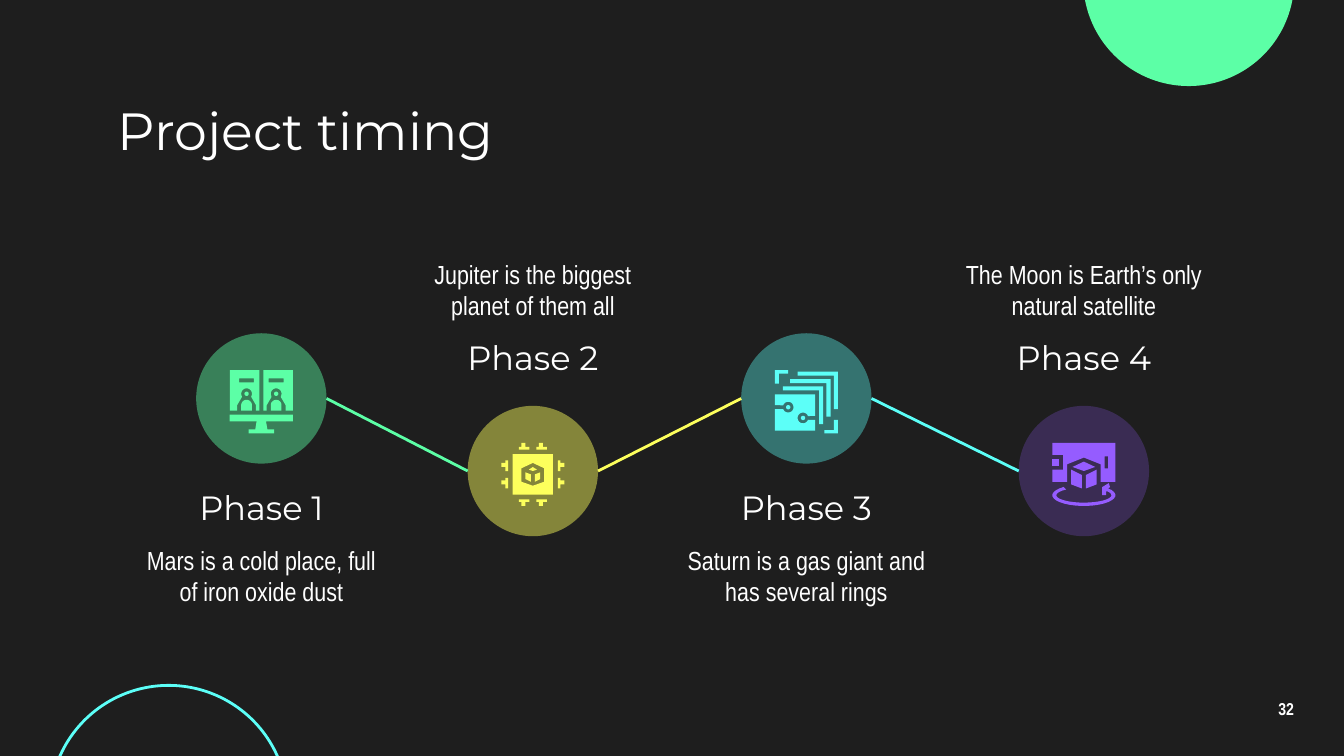
from dataclasses import dataclass
from math import cos, radians, sin

from lxml import etree
from pptx import Presentation
from pptx.dml.color import RGBColor
from pptx.enum.shapes import MSO_CONNECTOR, MSO_SHAPE
from pptx.enum.text import MSO_ANCHOR, PP_ALIGN
from pptx.oxml.ns import qn
from pptx.util import Emu, Inches, Pt

OVAL = MSO_SHAPE.OVAL
STRAIGHT = MSO_CONNECTOR.STRAIGHT
MIDDLE = MSO_ANCHOR.MIDDLE
LEFT, CENTER = PP_ALIGN.LEFT, PP_ALIGN.CENTER

Point = tuple[float, float]
Contour = list[Point]
Piece = list[Contour]


@dataclass(frozen=True)
class Theme:
    background: str = "1E1E1E"
    text: str = "FFFFFF"
    green: str = "5CFFA6"
    yellow: str = "FDFF5C"
    cyan: str = "5CFFF8"
    purple: str = "955CFF"
    heading_font: str = "Montserrat"
    body_font: str = "Arial Narrow"
    title_size: float = 28
    phase_size: float = 18
    body_size: float = 14
    number_size: float = 9.2
    line_width: float = 1.5


@dataclass(frozen=True)
class Level:
    circle_top: float
    name_top: float
    detail_top: float


@dataclass(frozen=True)
class Phase:
    center: float
    level: Level
    color: str
    opacity: int
    name: str
    detail: str
    icon: list[Piece]


THEME = Theme()
# The grid has 100 columns across the slide, with square cells
SLIDE_WIDTH, SLIDE_HEIGHT = Inches(10), Inches(5.625)
CELL = SLIDE_WIDTH / 100
CIRCLE, TEXT_WIDTH = 9.7, 20.2
ICON_OFFSET: Point = (2.5, 2.75)
ICON_SIZE = 47  # icons are drawn in tenths of a cell


def grid(cells: float) -> Emu:
    return Emu(round(cells * CELL))


# Icon geometry
def arc(x: float, y: float, rx: float, ry: float, start: float, end: float) -> Contour:
    angles = [radians(start + (end - start) * step / 24) for step in range(25)]
    return [(x + rx * cos(angle), y + ry * sin(angle)) for angle in angles]


def dot(x: float, y: float) -> Piece:
    return [arc(x, y, 1.6, 1.6, 0, 360)]


def box(left: float, top: float, right: float, bottom: float) -> Contour:
    return [(left, top), (right, top), (right, bottom), (left, bottom)]


def move(piece: Piece, dx: float, dy: float) -> Piece:
    return [[(x + dx, y + dy) for x, y in contour] for contour in piece]


def mirror(piece: Piece) -> Piece:
    return [[(ICON_SIZE - x, y) for x, y in contour] for contour in piece]


def transpose(piece: Piece) -> Piece:
    return [[(y, x) for x, y in contour] for contour in piece]


def monitor_icon() -> list[Piece]:
    person = 34.5
    panel = [[(25, 0), (47, 0), (47, 30), (person + 7, 30), (person + 7, 26), (person + 3.5, 20),
              *arc(person, 17.5, 4, 4, 30, -210), (person - 3.5, 20),
              (person - 7, 26), (person - 7, 30), (25, 30)], box(29, 6, 40, 9)]
    body = [[(person - 4, 30), *arc(person, 26, 4, 4, 180, 360), (person + 4, 30)]]
    right_side = [panel, body, dot(person, 17.5)]
    stand = [[(0, 33), (0, 38), (20, 38), (19, 44), (14, 44), (14, 47),
              (33, 47), (33, 44), (28, 44), (27, 38), (47, 38), (47, 33)]]
    return right_side + [mirror(piece) for piece in right_side] + [stand]


def chip_icon() -> list[Piece]:
    pin = [[(42, 13), (42, 21), (44, 21), (44, 18), (47, 18), (47, 15), (44, 15), (44, 13)]]
    pins = [move(pin, 0, shift) for shift in (0, 13)]
    pins += [mirror(piece) for piece in pins]
    face = [[(29, 22), (25, 23.5), (25, 29), (29, 27)]]
    lid = [[(23.5, 18), (20.5, 20), (23.5, 21), (26.5, 20)]]
    body = [box(8.5, 8.5, 38.5, 38.5),
            [(23.5, 15), (32, 19), (32, 29), (23.5, 32), (15, 29), (15, 19)]]
    return pins + [transpose(piece) for piece in pins] + [face, mirror(face), lid, body]


def layers_icon() -> list[Piece]:
    sheet = [[(17, 1), (17, 4), (44, 4), (44, 29), (47, 29), (47, 1)]]
    sheets = [move(sheet, -5.5 * step, 5.5 * step) for step in range(3)]
    corner = [[(0, 0), (0, 10), (3, 10), (3, 2.5), (10, 2.5), (10, 0)]]
    opposite = mirror(transpose(mirror(transpose(corner))))
    board = [[(0, 18), (0, 26), *arc(10, 27.5, 4, 4, 200, 520), (0, 29), (0, 45),
              (30, 45), (30, 37), *arc(21, 35.5, 4, 4, 20, 340), (30, 34), (30, 18)]]
    return sheets + [corner, opposite, board, dot(10, 27.5), dot(21, 35.5)]


def rotation_icon() -> list[Piece]:
    tile = [box(0, 12, 5, 17)]
    orbit = [[(42, 30), (37, 33), (37, 39), (40, 39), (40, 36),
              *arc(23.5, 39, 20.5, 5.5, -30, 230), *arc(23.5, 39, 23.5, 8, 230, -40),
              (43, 33)]]
    face = [[(33, 20), (25, 24), (25, 34), (33, 31)]]
    lid = [[(23.5, 14), (15, 18), (23.5, 21), (32, 18)]]
    screen = [[(0, 0), (0, 9), (8, 9), (8, 20), (0, 20), (0, 29), (11, 29), (11, 16),
               (23.5, 11), (36, 16), (36, 29), (47, 29), (47, 0)], box(39, 10, 41.5, 19)]
    return [tile, orbit, face, mirror(face), lid, screen]


# Drawing
def fill_shape(shape, color: str, opacity: int = 100) -> None:
    shape.shadow.inherit = False
    shape.line.fill.background()
    shape.fill.solid()
    shape.fill.fore_color.rgb = RGBColor.from_string(color)
    if opacity < 100:
        color_element = next(shape._element.spPr.iter(qn("a:srgbClr")))
        etree.SubElement(color_element, qn("a:alpha")).set("val", str(opacity * 1000))


def set_line(line, color: str) -> None:
    line.color.rgb = RGBColor.from_string(color)
    line.width = Pt(THEME.line_width)


def add_circle(slide, left: float, top: float, size: float):
    return slide.shapes.add_shape(OVAL, grid(left), grid(top), grid(size), grid(size))


def add_link(slide, start: Point, end: Point, color: str) -> None:
    connector = slide.shapes.add_connector(STRAIGHT, *map(grid, start + end))
    set_line(connector.line, color)
    etree.SubElement(connector._element.spPr, qn("a:effectLst"))


def add_text(slide, frame: tuple[float, float, float, float], text: str, font_name: str,
             size: float, align=CENTER, bold: bool = False) -> None:
    text_frame = slide.shapes.add_textbox(*map(grid, frame)).text_frame
    margins = dict.fromkeys(("margin_left", "margin_top", "margin_right", "margin_bottom"), grid(1))
    for name, value in {"word_wrap": True, "vertical_anchor": MIDDLE, **margins}.items():
        setattr(text_frame, name, value)
    paragraph = text_frame.paragraphs[0]
    paragraph.text = text
    paragraph.alignment = align
    for name, value in {"name": font_name, "size": Pt(size), "bold": bold}.items():
        setattr(paragraph.font, name, value)
    paragraph.font.color.rgb = RGBColor.from_string(THEME.text)


def add_icon(slide, left: float, top: float, pieces: list[Piece], color: str) -> None:
    group = slide.shapes.add_group_shape()
    for piece in pieces:
        contours = [[(x * 100, y * 100) for x, y in contour] for contour in piece]
        builder = group.shapes.build_freeform(*contours[0][0], scale=CELL / 1000)
        builder.add_line_segments(contours[0][1:], close=True)
        for contour in contours[1:]:
            builder.move_to(*contour[0])
            builder.add_line_segments(contour[1:], close=True)
        fill_shape(builder.convert_to_shape(grid(left), grid(top)), color)


def add_phase(slide, phase: Phase) -> None:
    level, left = phase.level, phase.center - CIRCLE / 2
    text_left = phase.center - TEXT_WIDTH / 2
    add_text(slide, (text_left, level.name_top, TEXT_WIDTH, 4.6), phase.name,
             THEME.heading_font, THEME.phase_size)
    add_text(slide, (text_left, level.detail_top, TEXT_WIDTH, 5.7), phase.detail,
             THEME.body_font, THEME.body_size)
    fill_shape(add_circle(slide, left, level.circle_top, CIRCLE), phase.color, phase.opacity)
    add_icon(slide, left + ICON_OFFSET[0], level.circle_top + ICON_OFFSET[1],
             phase.icon, phase.color)


UPPER = Level(circle_top=24.8, name_top=35.4, detail_top=40)
LOWER = Level(circle_top=30.2, name_top=24.3, detail_top=18.7)
PHASES = [
    Phase(19.45, UPPER, THEME.green, 44, "Phase 1",
          "Mars is a cold place, full of iron oxide dust", monitor_icon()),
    Phase(39.65, LOWER, THEME.yellow, 46, "Phase 2",
          "Jupiter is the biggest planet of them all", chip_icon()),
    Phase(60, UPPER, THEME.cyan, 38, "Phase 3",
          "Saturn is a gas giant and has several rings", layers_icon()),
    Phase(80.65, LOWER, THEME.purple, 24, "Phase 4",
          "The Moon is Earth’s only natural satellite", rotation_icon()),
]


def main() -> None:
    presentation = Presentation()
    presentation.slide_width, presentation.slide_height = SLIDE_WIDTH, SLIDE_HEIGHT
    slide = presentation.slides.add_slide(presentation.slide_layouts[6])
    slide.background.fill.solid()
    slide.background.fill.fore_color.rgb = RGBColor.from_string(THEME.background)

    # Corner decorations
    fill_shape(add_circle(slide, 80.6, -9.3, 15.7), THEME.green)
    ring = add_circle(slide, 3.7, 51, 17.7)
    ring.shadow.inherit = False
    ring.fill.background()
    set_line(ring.line, THEME.cyan)

    # Title and slide number
    add_text(slide, (7.8, 7.1, 84.4, 5.1), "Project timing",
             THEME.heading_font, THEME.title_size, LEFT)
    add_text(slide, (92.7, 51, 6, 3.4), "32", THEME.body_font, THEME.number_size, bold=True)

    # Phases and the links between them
    for phase in PHASES:
        add_phase(slide, phase)
    radius = CIRCLE / 2
    for phase, following in zip(PHASES, PHASES[1:]):
        add_link(slide, (phase.center + radius, phase.level.circle_top + radius),
                 (following.center - radius, following.level.circle_top + radius), phase.color)
    presentation.save("out.pptx")


if __name__ == "__main__":
    main()
